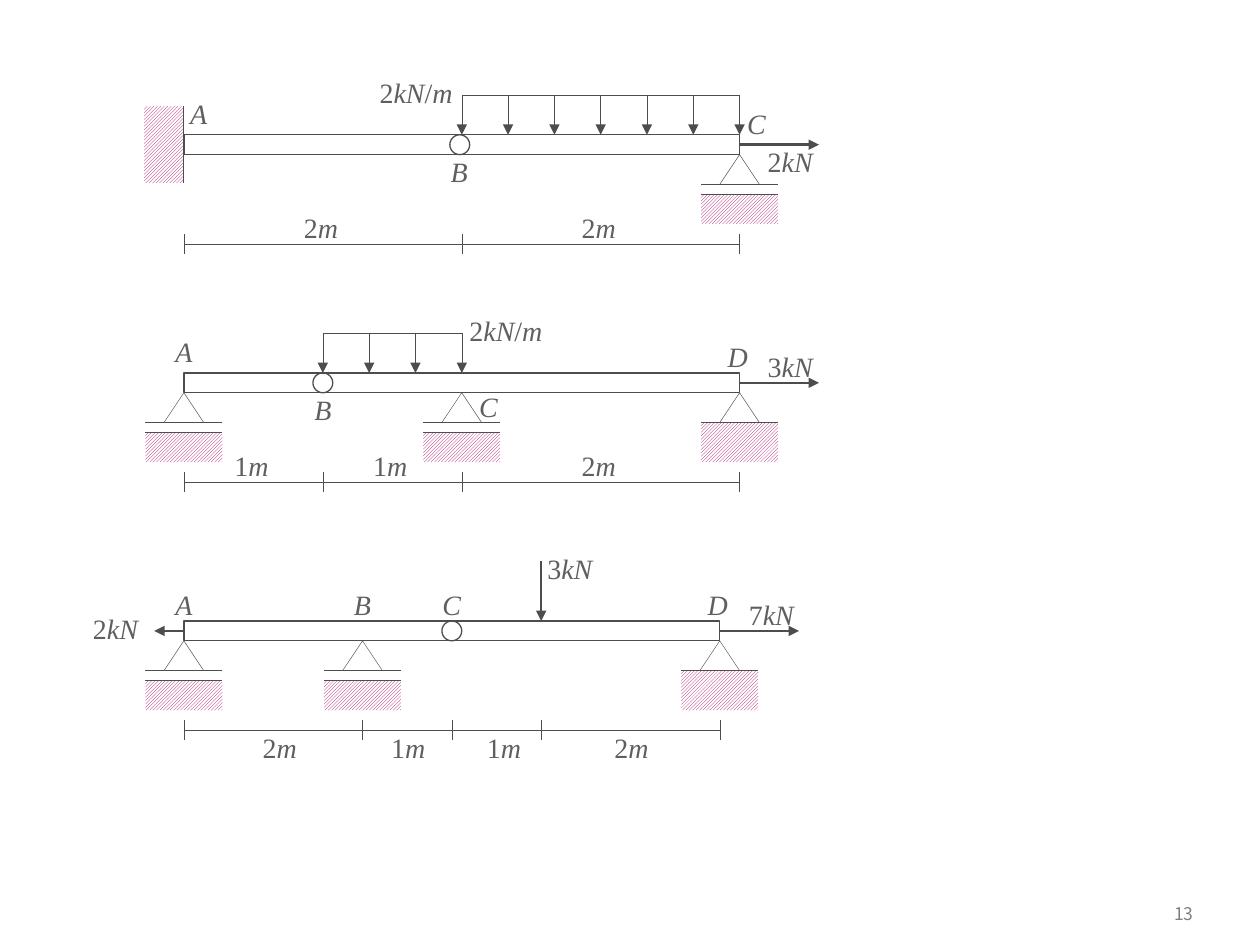
from itertools import groupby
from lxml.etree import SubElement as Sub
from pptx import Presentation
from pptx.dml.color import RGBColor as Rgb
from pptx.enum.dml import MSO_PATTERN as Pat
from pptx.enum.shapes import MSO_CONNECTOR as Con, MSO_SHAPE as Geo
from pptx.enum.text import MSO_ANCHOR as Anchor, PP_ALIGN as Align
from pptx.oxml.ns import qn
from pptx.util import Inches, Pt

HUES = {"line": "4D4D4D", "text": "5F5F5F", "hatch": "A90165", "back": "FFFFFF", "page": "808080"}
WIDE, HIGH = 10, 7.5
UNIT, LEFT, TOP = 0.07875, 1.46, 1.07
THIN, EDGE, BOLD = 0.25, 0.75, 1.5
BASE = 7.75


def hue(name):
    return Rgb.from_string(HUES[name])


def spot(col, row):
    return Inches(LEFT + col * UNIT), Inches(TOP + row * UNIT)


def size(cols, rows):
    return Inches(cols * UNIT), Inches(rows * UNIT)


def line(kit, start, end, width=THIN, head=False):
    item = kit.add_connector(Con.STRAIGHT, *spot(*start), *spot(*end))
    item.line.color.rgb = hue("line")
    item.line.width = Pt(width)
    if head:
        Sub(item.line._get_or_add_ln(), qn("a:tailEnd"), type="triangle")
    Sub(item._element.spPr, qn("a:effectLst"))


def shape(kit, geo, col, row, cols, rows, width=EDGE):
    item = kit.add_shape(geo, *spot(col, row), *size(cols, rows))
    item.shadow.inherit = False
    item.fill.background()
    item.line.color.rgb = hue("line")
    item.line.width = Pt(width)
    return item


def hatch(kit, col, row, cols, rows):
    item = shape(kit, Geo.RECTANGLE, col, row, cols, rows)
    item.line.fill.background()
    item.fill.patterned()
    item.fill.pattern = Pat.LIGHT_UPWARD_DIAGONAL
    item.fill.fore_color.rgb = hue("hatch")
    item.fill.back_color.rgb = hue("back")


def label(kit, text, mid, row):
    cols = 2 + 1.5 * len(text)
    frame = kit.add_textbox(*spot(mid - cols / 2, row), *size(cols, 3.4)).text_frame
    frame.word_wrap = True
    frame.margin_left = frame.margin_right = frame.margin_top = frame.margin_bottom = 0
    para = frame.paragraphs[0]
    para.alignment = Align.CENTER
    para.font.size = Pt(16)
    para.font.name = "Times New Roman"
    para.font.color.rgb = hue("text")
    for slant, part in groupby(text, str.isalpha):
        run = para.add_run()
        run.text = "".join(part)
        run.font.italic = slant


def beam(kit, row, cols, hinge):
    shape(kit, Geo.RECTANGLE, 0, row, cols, 2)
    shape(kit, Geo.OVAL, hinge - 1, row, 2, 2)


def prop(kit, col, row, rolls):
    left = col - BASE / 2
    gap = 1 if rolls else 0
    hatch(kit, left, row + 5 + gap, BASE, 4 - gap)
    for step in range(gap + 1):
        line(kit, (left, row + 5 + step), (left + BASE, row + 5 + step))
    shape(kit, Geo.ISOSCELES_TRIANGLE, col - 2, row + 2, 4, 3, THIN)


def wall(kit, row):
    top = row + 1 - BASE / 2
    hatch(kit, -4, top, 4, BASE)
    line(kit, (-0.1, top), (-0.1, top + BASE))


def load(kit, start, end, row, count):
    step = (end - start) / (count - 1)
    for n in range(count):
        col = start + n * step
        line(kit, (col, row - 4), (col, row), head=True)
    line(kit, (start, row - 4), (end, row - 4))


def force(kit, start, end):
    line(kit, start, end, BOLD, True)


def scale(kit, row, marks):
    axis = row + 11
    line(kit, (marks[0], axis), (marks[-1], axis))
    for col in marks:
        line(kit, (col, axis - 1), (col, axis + 1))


def names(kit, row, items):
    for text, mid, drop in items:
        label(kit, text, mid, row + drop)


def fixed(kit, row):
    wall(kit, row)
    beam(kit, row, 56, 27.8)
    prop(kit, 56, row, True)
    load(kit, 28, 56, row, 7)
    force(kit, (56, row + 1), (64, row + 1))
    scale(kit, row, (0, 28, 56))
    names(kit, row, (
        ("A", 1.5, -3.9), ("B", 27.75, 2), ("C", 57.7, -2.9),
        ("2kN/m", 23.4, -6), ("2kN", 61.1, 1),
        ("2m", 13.8, 7.6), ("2m", 41.8, 7.6)))


def triple(kit, row):
    beam(kit, row, 56, 14)
    for col, rolls in ((0, True), (28, True), (56, False)):
        prop(kit, col, row, rolls)
    load(kit, 14, 28, row, 4)
    force(kit, (56, row + 1), (64, row + 1))
    scale(kit, row, (0, 14, 28, 56))
    names(kit, row, (
        ("A", 0, -3.9), ("B", 14, 2), ("C", 30.7, 1.65), ("D", 55.8, -3.4),
        ("2kN/m", 32.45, -6), ("3kN", 61.1, -2.4),
        ("1m", 6.8, 7.6), ("1m", 20.8, 7.6), ("2m", 41.8, 7.6)))


def point(kit, row):
    beam(kit, row, 54, 27)
    for col, rolls in ((0, True), (18, True), (54, False)):
        prop(kit, col, row, rolls)
    force(kit, (54, row + 1), (62, row + 1))
    force(kit, (0, row + 1), (-3, row + 1))
    force(kit, (36, row - 6), (36, row))
    scale(kit, row, (0, 18, 27, 36, 54))
    names(kit, row, (
        ("A", 0, -3.4), ("B", 18, -3.4), ("C", 27, -3.4), ("D", 53.8, -3.4),
        ("2kN", -6.9, -1), ("3kN", 38.9, -7), ("7kN", 59.2, -2.4),
        ("2m", 9.65, 11), ("1m", 22.6, 11), ("1m", 32.25, 11), ("2m", 45.1, 11)))


def number(kit, text):
    box = kit.add_textbox(Inches(0.886 * WIDE), Inches(0.945 * HIGH),
                          Inches(0.071 * WIDE), Inches(0.044 * HIGH))
    frame = box.text_frame
    frame.word_wrap = True
    frame.vertical_anchor = Anchor.MIDDLE
    para = frame.paragraphs[0]
    para.text = text
    para.alignment = Align.RIGHT
    para.font.size = Pt(10)
    para.font.name = "Noto Sans CJK KR"
    para.font.color.rgb = hue("page")


def main():
    deck = Presentation()
    deck.slide_width, deck.slide_height = Inches(WIDE), Inches(HIGH)
    slide = deck.slides.add_slide(deck.slide_layouts[6])
    number(slide.shapes, "13")
    for draw, row in ((fixed, 0), (triple, 24), (point, 49)):
        draw(slide.shapes.add_group_shape().shapes, row)
    deck.save("out.pptx")


if __name__ == "__main__":
    main()
